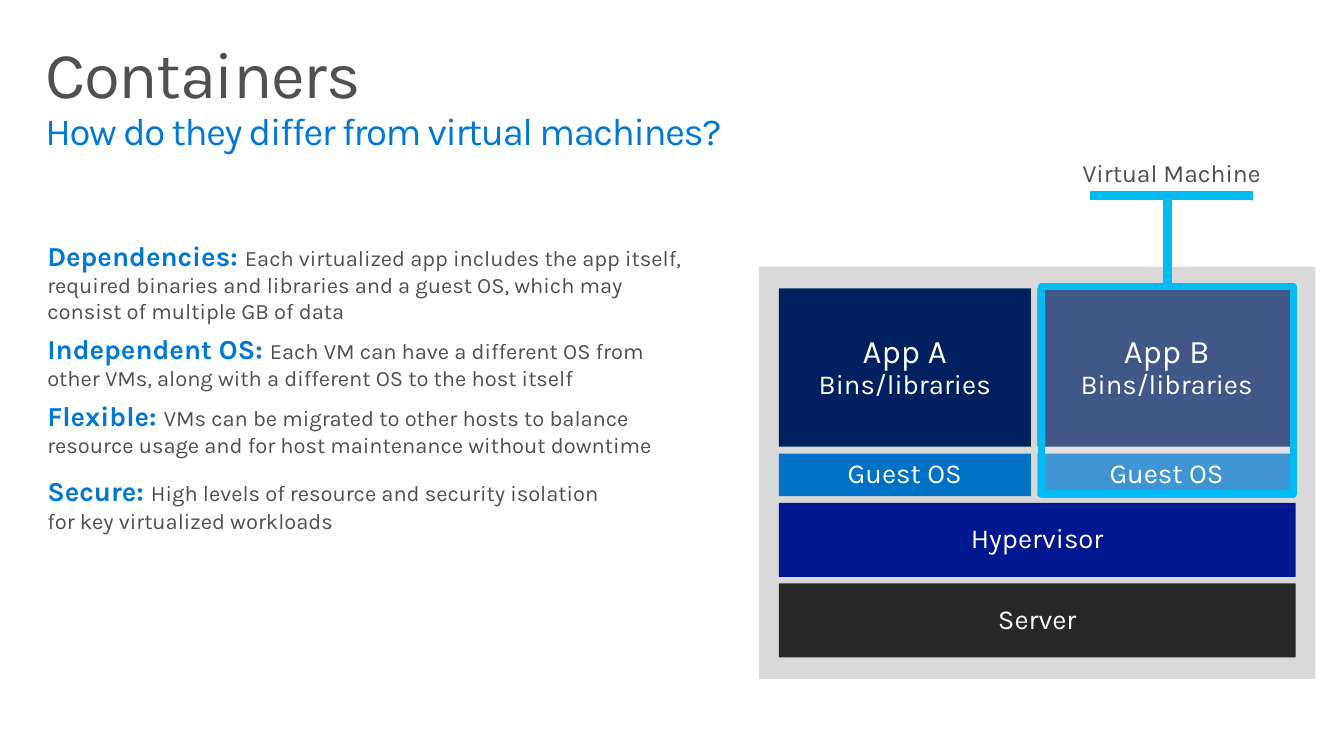
from dataclasses import dataclass

from lxml.etree import SubElement
from pptx import Presentation
from pptx.dml.color import RGBColor
from pptx.enum.shapes import MSO_CONNECTOR, MSO_SHAPE
from pptx.enum.text import MSO_ANCHOR, MSO_AUTO_SIZE, PP_ALIGN
from pptx.oxml.ns import qn
from pptx.util import Pt


@dataclass(frozen=True)
class Theme:
    font: str = "Karla"
    text: str = "505050"
    accent: str = "0078D7"
    white: str = "FFFFFF"
    frame: str = "D9D9D9"
    app: str = "002060"
    guest: str = "0072C6"
    hypervisor: str = "00188F"
    server: str = "282828"
    highlight: str = "00BCF2"
    title_size: float = 47.7
    subtitle_size: float = 27.9
    app_size: float = 24
    lead_size: float = 20
    label_size: float = 18
    body_size: float = 16
    highlight_width: float = 5.25
    callout_width: float = 6.25


THEME = Theme()

POINTS = [
    ("Dependencies: ", "Each virtualized app includes the app itself, required binaries and "
     "libraries and a guest OS, which may consist of multiple GB of data", 0),
    ("Independent OS: ", "Each VM can have a different OS from other VMs, along with a "
     "different OS to the host itself", 0),
    ("Flexible: ", "VMs can be migrated to other hosts to balance resource usage and for "
     "host maintenance without downtime", 6.1),
    ("Secure: ", "High levels of resource and security isolation\n"
     "for key virtualized workloads", 6.1),
]


def add_text(paragraph, text, *, size, color, bold=False, tracking=None):
    """Append formatted runs; each newline becomes a line break."""
    for index, line in enumerate(text.split("\n")):
        if index:
            paragraph.add_line_break()
        if not line:
            continue
        run = paragraph.add_run()
        run.text = line
        run.font.name = THEME.font
        run.font.size = Pt(size)
        run.font.bold = bold
        run.font.color.rgb = RGBColor.from_string(color)
        if tracking is not None:
            run.font._element.set("spc", str(round(tracking * 100)))


def prepare_frame(shape, *, anchor=MSO_ANCHOR.TOP, align=PP_ALIGN.LEFT, inset=(11.5, 7.2)):
    """Set the text frame's layout and return its first paragraph."""
    frame = shape.text_frame
    frame.word_wrap = True
    frame.auto_size = MSO_AUTO_SIZE.NONE
    frame.vertical_anchor = anchor
    frame.margin_left = frame.margin_right = Pt(inset[0])
    frame.margin_top = frame.margin_bottom = Pt(inset[1])
    paragraph = frame.paragraphs[0]
    paragraph.alignment = align
    paragraph.line_spacing = 0.9
    return paragraph


def add_block(slide, box, color, lines=()):
    """Add a rectangle with centred white lines given as (text, size)."""
    shape = slide.shapes.add_shape(MSO_SHAPE.RECTANGLE, *map(Pt, box))
    shape.shadow.inherit = False
    shape.fill.solid()
    shape.fill.fore_color.rgb = RGBColor.from_string(color)
    shape.line.fill.background()
    if lines:
        paragraph = prepare_frame(shape, anchor=MSO_ANCHOR.MIDDLE,
                                  align=PP_ALIGN.CENTER, inset=(14.4, 11.5))
        for text, size in lines:
            add_text(paragraph, text, size=size, color=THEME.white)
    return shape


def add_callout_line(slide, start_x, start_y, end_x, end_y):
    line = slide.shapes.add_connector(
        MSO_CONNECTOR.STRAIGHT, *map(Pt, (start_x, start_y, end_x, end_y)))
    line.line.color.rgb = RGBColor.from_string(THEME.highlight)
    line.line.width = Pt(THEME.callout_width)
    SubElement(line._element.spPr, qn("a:effectLst"))
    return line


def place_title(slide, box):
    title = slide.shapes.title
    title.left, title.top, title.width, title.height = map(Pt, box)
    paragraph = prepare_frame(title)
    add_text(paragraph, "Containers\n", size=THEME.title_size, color=THEME.text, tracking=-1)
    add_text(paragraph, "How do they differ from virtual machines?",
             size=THEME.subtitle_size, color=THEME.accent, tracking=-1)


def add_points(slide, box):
    text_box = slide.shapes.add_textbox(*map(Pt, box))
    paragraph = prepare_frame(text_box)
    for index, (lead, detail, space_after) in enumerate(POINTS):
        if index:
            paragraph = text_box.text_frame.add_paragraph()
        paragraph.line_spacing = 0.99
        paragraph.space_before = Pt(6)
        paragraph.space_after = Pt(space_after)
        add_text(paragraph, lead, size=THEME.lead_size, color=THEME.accent, bold=True)
        add_text(paragraph, detail, size=THEME.body_size, color=THEME.text)


def add_highlight(slide, box):
    """Add the translucent outlined box around the virtual machine."""
    highlight = add_block(slide, box, THEME.white)
    color = highlight.fill._xPr.find(qn("a:solidFill"))[0]
    SubElement(color, qn("a:alpha"), val="25000")
    highlight.line.color.rgb = RGBColor.from_string(THEME.highlight)
    highlight.line.width = Pt(THEME.highlight_width)
    return highlight


def add_machine_stack(slide, box):
    """Draw the layered host, with a callout above its second machine."""
    left, top, width, height = box
    callout_height = 88.6
    frame_top = top + callout_height
    add_block(slide, (left, frame_top, width, height - callout_height), THEME.frame)

    inner_left, inner_width = left + 14.4, 376.6
    columns = [("A", inner_left, 183.6), ("B", left + 203, 188)]
    for name, column_left, column_width in columns:
        add_block(slide, (column_left, frame_top + 15.8, column_width, 115.2), THEME.app,
                  [(f"App {name}\n", THEME.app_size), ("Bins/libraries", THEME.lead_size)])
        add_block(slide, (column_left, frame_top + 136.1, column_width, 31), THEME.guest,
                  [("Guest OS", THEME.lead_size)])

    layers = [("Hypervisor", THEME.hypervisor), ("Server", THEME.server)]
    for index, (name, color) in enumerate(layers):
        add_block(slide, (inner_left, frame_top + 172 + index * 58.6, inner_width, 54),
                  color, [(name, THEME.lead_size)])

    highlight = add_highlight(slide, (left + 205.7, frame_top + 14.4, 183.6, 151.2))
    bar_top = top + 36.7
    stem_x = left + 297.5
    stem = add_callout_line(slide, stem_x, bar_top, stem_x, frame_top + 14.4)
    stem.end_connect(highlight, 0)
    add_callout_line(slide, left + 241.2, bar_top, left + 360, bar_top)

    label = slide.shapes.add_textbox(*map(Pt, (left + 214.6, top, 172, 43.2)))
    paragraph = prepare_frame(label, align=PP_ALIGN.CENTER, inset=(14.4, 11.5))
    add_text(paragraph, "Virtual Machine", size=THEME.label_size, color=THEME.text)


def main():
    presentation = Presentation()
    presentation.slide_width, presentation.slide_height = Pt(979.2), Pt(550.8)
    slide = presentation.slides.add_slide(presentation.slide_layouts.get_by_name("Title Only"))
    place_title(slide, (21.6, 23, 936, 72))
    add_points(slide, (23, 167.8, 491.8, 301.7))
    add_machine_stack(slide, (553, 105.8, 405.4, 388.8))
    presentation.save("out.pptx")


if __name__ == "__main__":
    main()
